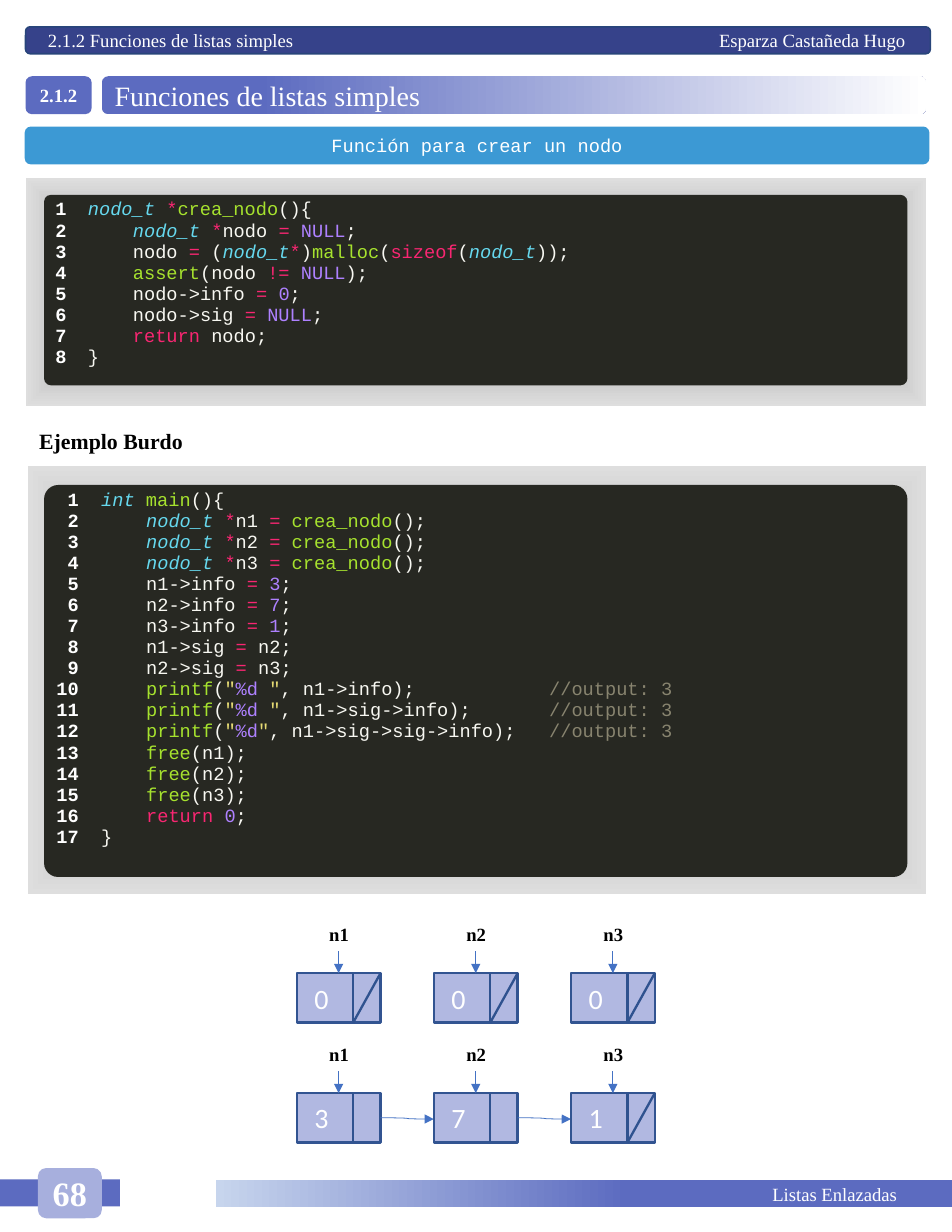
from itertools import groupby

from lxml import etree
from pptx import Presentation
from pptx import util as u
from pptx.dml.color import RGBColor
from pptx.enum import shapes, text
from pptx.oxml import parse_xml
from pptx.oxml.ns import nsdecls, qn
from pptx.util import Cm

WHITE = RGBColor(0xFF, 0xFF, 0xFF)
BLACK = RGBColor(0, 0, 0)
NAVY = RGBColor(0x36, 0x42, 0x8A)
NAVY_EDGE = RGBColor(0x28, 0x45, 0x7A)
INDIGO = RGBColor(0x5C, 0x6B, 0xC0)
LAVENDER = RGBColor(0xA7, 0xAF, 0xDD)
PALE_BLUE = RGBColor(0xC7, 0xD5, 0xED)
SKY = RGBColor(0x3C, 0x99, 0xD4)
NODE_FILL = RGBColor(0xB1, 0xB8, 0xE1)
NODE_EDGE = RGBColor(0x32, 0x54, 0x91)
DIVIDER = RGBColor(0x2F, 0x52, 0x8F)
ARROW = RGBColor(0x44, 0x72, 0xC4)
EDITOR = RGBColor(0x27, 0x28, 0x22)
FRAME_STOPS = [(11, RGBColor(0x7B, 0x7B, 0x7B)), (61, RGBColor(0xBC, 0xBC, 0xBC)),
               (100, RGBColor(0xDE, 0xDE, 0xDE))]

PLAIN = RGBColor(0xF8, 0xF8, 0xF2)
TYPE = RGBColor(0x66, 0xD9, 0xEF)
KEYWORD = RGBColor(0xF9, 0x26, 0x72)
FUNCTION = RGBColor(0xA6, 0xE2, 0x2E)
CONSTANT = RGBColor(0xAE, 0x81, 0xFF)
STRING = RGBColor(0xE6, 0xDB, 0x74)
COMMENT = RGBColor(0x88, 0x84, 0x6F)
WORD_COLORS = {
    **dict.fromkeys(["nodo_t", "int"], TYPE),
    **dict.fromkeys(["sizeof", "return", "*", "=", "!="], KEYWORD),
    **dict.fromkeys(["crea_nodo", "main", "malloc", "assert", "printf", "free"], FUNCTION),
    **dict.fromkeys(["NULL", "%d"], CONSTANT),
    '"': STRING,
}

SERIF, MONO, SANS = "Times New Roman", "Courier New", "Calibri"
RECT = shapes.MSO_SHAPE.RECTANGLE
ROUND = shapes.MSO_SHAPE.ROUNDED_RECTANGLE
LEFT, CENTER, RIGHT = text.PP_ALIGN.LEFT, text.PP_ALIGN.CENTER, text.PP_ALIGN.RIGHT
NO_GRID_STYLE = "{2D5ABB26-0587-4C30-8999-92F81FD0307C}"

CREATE_CODE = """\
nodo_t *crea_nodo(){
\tnodo_t *nodo = NULL;
\tnodo = (nodo_t*)malloc(sizeof(nodo_t));
\tassert(nodo != NULL);
\tnodo->info = 0;
\tnodo->sig = NULL;
\treturn nodo;
}"""
MAIN_CODE = """\
int main(){
\tnodo_t *n1 = crea_nodo();
\tnodo_t *n2 = crea_nodo();
\tnodo_t *n3 = crea_nodo();
\tn1->info = 3;
\tn2->info = 7;
\tn3->info = 1;
\tn1->sig = n2;
\tn2->sig = n3;
\tprintf("%d ", n1->info);\t//output: 3
\tprintf("%d ", n1->sig->info);\t//output: 3
\tprintf("%d", n1->sig->sig->info);\t//output: 3
\tfree(n1);
\tfree(n2);
\tfree(n3);
\treturn 0;
}"""


def format_run(r, font, size, color, bold=False, italic=False):
    r.font.name, r.font.size, r.font.color.rgb = font, u.Pt(size), color
    r.font.bold, r.font.italic = bold, italic


def write(sp, words, size, color=WHITE, font=SERIF, bold=False, align=CENTER,
          left=0.25, right=0.25):
    tf = sp.text_frame
    tf.word_wrap = True
    tf.margin_left, tf.margin_right = Cm(left), Cm(right)
    p = tf.paragraphs[0]
    p.text, p.alignment = words, align
    for r in p.runs:
        format_run(r, font, size, color, bold)
    return p


def add_box(s, kind, x, y, w, h, fill=None, edge=None, weight=1):
    sp = s.shapes.add_shape(kind, Cm(x), Cm(y), Cm(w), Cm(h))
    sp.shadow.inherit = False
    sp.text_frame.vertical_anchor = text.MSO_ANCHOR.MIDDLE
    if fill is not None:
        sp.fill.solid()
        sp.fill.fore_color.rgb = fill
    if edge is None:
        sp.line.fill.background()
    else:
        sp.line.color.rgb, sp.line.width = edge, u.Pt(weight)
    return sp


def set_gradient(sp, stops, shade):
    sp.fill.gradient()
    old = sp._element.spPr.find(qn("a:gradFill"))
    marks = "".join(f'<a:gs pos="{pos * 1000}"><a:srgbClr val="{color}"/></a:gs>'
                    for pos, color in stops)
    new = parse_xml(f'<a:gradFill {nsdecls("a")} rotWithShape="1">'
                    f'<a:gsLst>{marks}</a:gsLst>{shade}</a:gradFill>')
    old.getparent().replace(old, new)


def set_tabs(p, *stops):
    tabs = etree.SubElement(p._p.get_or_add_pPr(), qn("a:tabLst"))
    for pos, side in stops:
        etree.SubElement(tabs, qn("a:tab"), pos=str(int(Cm(pos))), algn=side)


def add_line(s, x1, y1, x2, y2, color, weight, arrow=False, kind=shapes.MSO_CONNECTOR.STRAIGHT):
    line = s.shapes.add_connector(kind, Cm(x1), Cm(y1), Cm(x2), Cm(y2))
    line.line.color.rgb, line.line.width = color, u.Pt(weight)
    if arrow:
        etree.SubElement(line.line._get_or_add_ln(), qn("a:tailEnd"), type="triangle")
    etree.SubElement(line._element.spPr, qn("a:effectLst"))


def char_class(c):
    if c.isalnum() or c in "_%":
        return "word"
    return "operator" if c in "*=!" else c


def colored_parts(line):
    """Split a line of C into (color, text) pieces."""
    code, slashes, note = line.partition("//")
    tokens = ["".join(chars) for _, chars in groupby(code, char_class)]
    for color, group in groupby(
            tokens, lambda t: CONSTANT if t.isdigit() else WORD_COLORS.get(t, PLAIN)):
        yield color, "".join(group)
    if slashes:
        yield COMMENT, slashes + note


def add_code(s, code, frame, y, h, number_width):
    """Gray frame, dark editor panel, and a table of line numbers and code."""
    x, w = 1.0, 19.58
    set_gradient(add_box(s, RECT, *frame), FRAME_STOPS,
                 '<a:path path="rect"><a:fillToRect l="50000" t="50000" r="50000" b="50000"/></a:path>')
    add_box(s, ROUND, x, y, w, h, EDITOR).adjustments[0] = 0.036
    table = s.shapes.add_table(1, 2, Cm(x), Cm(y), Cm(w), Cm(h - 0.4)).table
    table.first_row = table.horz_banding = False
    table._tbl.tblPr.find(qn("a:tableStyleId")).text = NO_GRID_STYLE
    table.columns[0].width, table.columns[1].width = Cm(number_width), Cm(w - number_width)
    numbers, body = table.cell(0, 0), table.cell(0, 1)
    for cell in (numbers, body):
        cell.fill.background()
    lines = code.split("\n")
    numbers.text_frame.text = "\n".join(str(i + 1) for i in range(len(lines)))
    for p in numbers.text_frame.paragraphs:
        p.alignment = RIGHT
        format_run(p.runs[0], MONO, 12, WHITE, bold=True)
    for i, line in enumerate(lines):
        p = body.text_frame.add_paragraph() if i else body.text_frame.paragraphs[0]
        set_tabs(p, (1.02, "l"), (10.16, "l"))
        for color, part in colored_parts(line):
            r = p.add_run()
            r.text = part
            format_run(r, MONO, 12, color, italic=color == TYPE)


def add_label(s, words, x, y, w, h, size, align=CENTER):
    write(s.shapes.add_textbox(Cm(x), Cm(y), Cm(w), Cm(h)), words, size, BLACK,
          bold=True, align=align)


def add_node(s, name, value, x, y, is_null):
    w, h, split = 1.9, 1.12, 1.28
    write(add_box(s, RECT, x, y, w, h, NODE_FILL, NODE_EDGE, 1.5), value, 18,
          font=SANS, align=LEFT, left=0.4)
    add_line(s, x + split, y, x + split, y + h, DIVIDER, 1.5)
    if is_null:
        add_line(s, x + w, y, x + split, y + h, DIVIDER, 1.5)
    add_label(s, name, x + 0.2, y - 1.27, 1.52, 0.76, 12)
    add_line(s, x + w / 2, y - 0.5, x + w / 2, y, ARROW, 0.5, arrow=True)


def add_node_row(s, values, y, linked):
    pitch = 3.11
    for i, value in enumerate(values):
        x = 6.73 + i * pitch
        last = i == len(values) - 1
        add_node(s, f"n{i + 1}", value, x, y, is_null=last or not linked)
        if linked and not last:
            add_line(s, x + 1.9, y + 0.56, x + pitch, y + 0.59, ARROW, 0.5, arrow=True,
                     kind=shapes.MSO_CONNECTOR.CURVE)


def add_header(s):
    p = write(add_box(s, ROUND, 0.58, 0.61, 20.52, 0.61, NAVY, NAVY_EDGE),
              "2.1.2 Funciones de listas simples\tEsparza Castañeda Hugo", 12,
              align=LEFT, left=0.48)
    set_tabs(p, (19.45, "r"))
    write(add_box(s, ROUND, 0.58, 1.73, 1.5, 0.86, INDIGO), "2.1.2", 12, bold=True)
    title = add_box(s, ROUND, 2.31, 1.73, 18.69, 0.86)
    set_gradient(title, [(19, INDIGO), (100, WHITE)], '<a:lin ang="0" scaled="0"/>')
    write(title, "Funciones de listas simples", 18, align=LEFT)
    write(add_box(s, ROUND, 0.56, 2.87, 20.52, 0.86, SKY),
          "Función para crear un nodo", 12, font=MONO)


def add_footer(s):
    band = add_box(s, RECT, 4.9, 26.77, 16.69, 0.61)
    set_gradient(band, [(44, INDIGO), (100, PALE_BLUE)], '<a:lin ang="10800000" scaled="0"/>')
    write(band, "Listas Enlazadas", 12, align=RIGHT, right=1.24)
    add_box(s, RECT, 0, 26.75, 2.72, 0.61, INDIGO)
    write(add_box(s, ROUND, 0.86, 26.49, 1.45, 1.14, LAVENDER), "68", 22, bold=True)


def main():
    prs = Presentation()
    prs.slide_width, prs.slide_height = Cm(21.59), Cm(27.94)
    s = prs.slides.add_slide(prs.slide_layouts[6])
    add_header(s)
    add_code(s, CREATE_CODE, (0.58, 4.04, 20.42, 5.18), 4.42, 4.32, 0.74)
    add_label(s, "Ejemplo Burdo", 0.64, 9.58, 4.27, 0.86, 14, LEFT)
    add_code(s, MAIN_CODE, (0.64, 10.57, 20.37, 9.7), 11, 8.89, 1.04)
    add_node_row(s, "000", 22.07, linked=False)
    add_node_row(s, "371", 24.79, linked=True)
    add_footer(s)
    prs.save("out.pptx")


if __name__ == "__main__":
    main()
